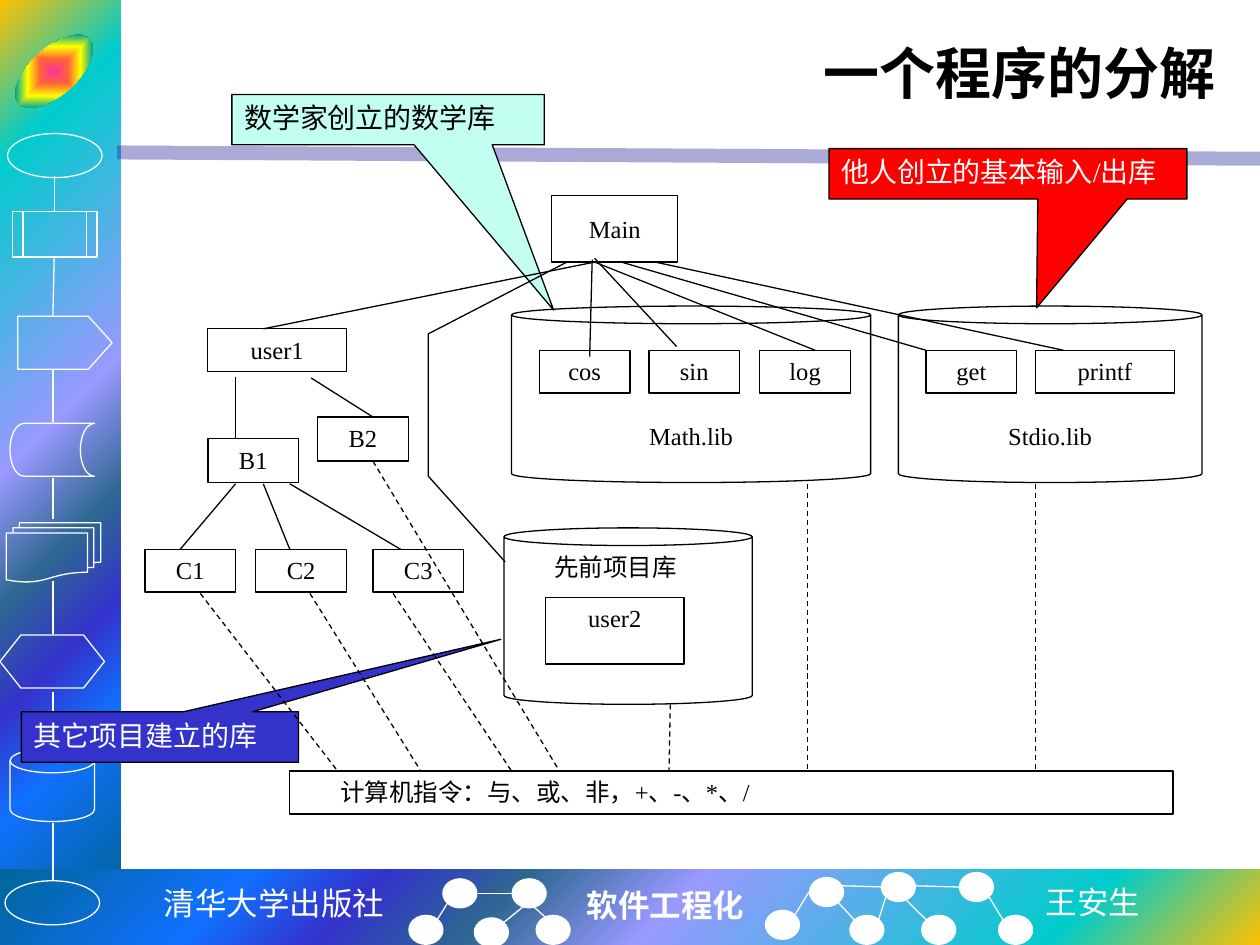
from lxml import etree
from pptx import Presentation
from pptx import util as u
from pptx.dml.color import RGBColor
from pptx.enum import dml, shapes, text
from pptx.oxml.ns import qn

KIND = shapes.MSO_SHAPE
ALIGN = text.PP_ALIGN
BLACK, WHITE = "000000", "FFFFFF"
SERIF, CJK = "Times New Roman", "Noto Sans CJK SC"
RAINBOW = [(0, "FFC000"), (16, "00CCCC"), (47, "9999FF"), (60, "2E6792"),
           (71, "3333CC"), (81, "1170FF"), (100, "006699")]
EMBLEM = [(0, "FF3399"), (25, "FF6633"), (50, "FFFF00"), (75, "01A78F"), (100, "3366FF")]


def cm(inches):
    """Turn a position on the slide's inch grid into a length."""
    return u.Cm(inches * 2.54)


def colour(value):
    return RGBColor.from_string(value)


def set_gradient(shape, stops, path, focus):
    """Fill with a path gradient that starts at focus (left, top, right, bottom in %)."""
    shape.fill.background()
    old = shape._element.spPr.find(qn("a:noFill"))
    grad = etree.Element(qn("a:gradFill"), rotWithShape="1")
    stop_list = etree.SubElement(grad, qn("a:gsLst"))
    for place, value in stops:
        stop = etree.SubElement(stop_list, qn("a:gs"), pos=str(place * 1000))
        etree.SubElement(stop, qn("a:srgbClr"), val=value)
    route = etree.SubElement(grad, qn("a:path"), path=path)
    sides = {side: str(part * 1000) for side, part in zip("ltrb", focus)}
    etree.SubElement(route, qn("a:fillToRect"), **sides)
    old.getparent().replace(old, grad)


def style_outline(shape, fill=None, line=None):
    shape.shadow.inherit = False
    if fill:
        shape.fill.solid()
        shape.fill.fore_color.rgb = colour(fill)
    else:
        shape.fill.background()
    if line:
        shape.line.color.rgb = colour(line)
        shape.line.width = u.Pt(0.75)
    else:
        shape.line.fill.background()


def add_shape(page, kind, at, fill=None, line=None, adjust=()):
    shape = page.shapes.add_shape(kind, *map(cm, at))
    style_outline(shape, fill, line)
    for index, value in enumerate(adjust):
        shape.adjustments[index] = value
    return shape


def add_line(page, start, end, ink=BLACK, width=0.75, dashed=False, opacity=None):
    line = page.shapes.add_connector(shapes.MSO_CONNECTOR.STRAIGHT, *map(cm, start + end))
    line.line.color.rgb = colour(ink)
    line.line.width = u.Pt(width)
    if dashed:
        line.line.dash_style = dml.MSO_LINE.DASH
    if opacity:
        ink_element = line._element.spPr.find(".//" + qn("a:srgbClr"))
        etree.SubElement(ink_element, qn("a:alpha"), val=str(opacity * 1000))
    etree.SubElement(line._element.spPr, qn("a:effectLst"))


def write(box, words, size=14, ink=BLACK, align=ALIGN.LEFT, anchor=text.MSO_ANCHOR.TOP,
          bold=False, font=SERIF, wrap=True, indent=0):
    frame = box.text_frame
    frame.text = words
    frame.word_wrap = wrap
    frame.vertical_anchor = anchor
    para = frame.paragraphs[0]
    para.alignment = align
    if indent:
        para._p.get_or_add_pPr().set("indent", str(cm(indent)))
    span = para.runs[0]
    span.font.size = u.Pt(size)
    span.font.bold = bold
    span.font.name = font
    span.font.color.rgb = colour(ink)
    etree.SubElement(span._r.get_or_add_rPr(), qn("a:ea"), typeface=CJK)


def add_module(page, words, at, **options):
    box = add_shape(page, KIND.RECTANGLE, at, line=BLACK)
    write(box, words, **{"align": ALIGN.CENTER, **options})


def add_library(page, words, at, drop=0.05, **options):
    """Draw a cylinder whose name sits drop inches below its lid."""
    can = add_shape(page, KIND.CAN, at, line=BLACK, adjust=[0.1])
    can.text_frame.margin_top = cm(drop)
    write(can, words, **options)


def add_callout(page, words, at, tip, fill, ink):
    box = add_shape(page, KIND.RECTANGULAR_CALLOUT, at, fill, BLACK, tip)
    write(box, words, size=16, ink=ink)


def add_label(page, words, at, **options):
    write(page.shapes.add_textbox(*map(cm, at)), words, **options)


def draw_sidebar(page):
    side = add_shape(page, KIND.RECTANGLE, (0, 0, 0.96, 7.09))
    set_gradient(side, RAINBOW, "circle", (0, 0, 100, 100))
    foot = add_shape(page, KIND.RECTANGLE, (0, 6.9, 10, 0.6))
    set_gradient(foot, RAINBOW, "circle", (100, 100, 0, 0))
    add_line(page, (0.93, 1.21), (10, 1.26), "262699", 8, opacity=39)
    emblem = add_shape(page, KIND.OVAL, (0.05, 0.38, 0.76, 0.37))
    set_gradient(emblem, EMBLEM, "shape", (50, 50, 50, 50))
    emblem.rotation = -42
    for kind, at in [
        (KIND.OVAL, (0.06, 1.06, 0.75, 0.35)),
        (KIND.FLOWCHART_PREDEFINED_PROCESS, (0.1, 1.68, 0.67, 0.36)),
        (KIND.PENTAGON, (0.14, 2.51, 0.75, 0.42)),
        (KIND.FLOWCHART_STORED_DATA, (0.08, 3.36, 0.67, 0.42)),
        (KIND.FLOWCHART_MULTIDOCUMENT, (0.05, 4.15, 0.75, 0.47)),
        (KIND.FLOWCHART_PREPARATION, (0, 5.04, 0.83, 0.42)),
        (KIND.FLOWCHART_MAGNETIC_DISK, (0.08, 5.94, 0.67, 0.58)),
        (KIND.OVAL, (0.04, 6.99, 0.75, 0.35)),
    ]:
        add_shape(page, kind, at, line=WHITE, adjust=[0.45] if kind == KIND.PENTAGON else ())
    for top, bottom in [(1.4, 1.68), (2.05, 2.51), (2.93, 3.35), (3.79, 4.12),
                        (4.61, 5.03), (5.49, 5.9), (6.53, 6.99)]:
        add_line(page, (0.43 if top < 2.5 else 0.42, top),
                 (0.43 if top < 2 else 0.42, bottom), WHITE)


def draw_footer(page):
    add_label(page, "清华大学出版社", (1.19, 6.97, 1.97, 0.4), size=18, ink=WHITE,
              font="Courier New", align=ALIGN.CENTER, wrap=False)
    add_label(page, "软件工程化", (4.56, 6.98, 1.46, 0.4), size=18, ink=WHITE,
              bold=True, wrap=False)
    add_label(page, "王安生", (8.2, 6.96, 0.96, 0.4), size=18, ink=WHITE,
              font=CJK, wrap=False)
    for left, top in [(3.51, 6.97), (4.06, 6.97), (3.24, 7.26), (3.76, 7.28), (4.25, 7.26),
                      (6.42, 6.96), (6.99, 6.92), (7.61, 6.92),
                      (6.07, 7.22), (6.74, 7.26), (7.31, 7.26), (7.92, 7.26)]:
        add_shape(page, KIND.OVAL, (left, top, 0.28, 0.24), fill=WHITE)
    for start, end in [
        ((3.47, 7.3), (3.55, 7.17)), ((4, 7.32), (4.16, 7.19)), ((4.06, 7.09), (3.79, 7.09)),
        ((4.34, 7.29), (4.24, 7.2)), ((6.78, 7.3), (6.65, 7.16)), ((7.35, 7.3), (7.15, 7.1)),
        ((7.96, 7.3), (7.85, 7.12)), ((6.97, 7.31), (7.03, 7.12)), ((7.26, 7.03), (7.61, 7.04)),
        ((6.31, 7.26), (6.42, 7.08)), ((6.68, 7.03), (7.03, 7.04)),
    ]:
        add_line(page, start, end, WHITE)


def draw_callouts(page):
    add_callout(page, "他人创立的基本输入/出库", (6.58, 1.18, 2.84, 0.4),
                (0.08, 2.66), "FF0000", WHITE)
    add_callout(page, "数学家创立的数学库", (1.84, 0.75, 2.48, 0.4),
                (0.53, 3.78), "C2FFF0", BLACK)
    add_callout(page, "其它项目建立的库", (0.17, 5.65, 2.2, 0.4),
                (1.23, -1.94), "3333CC", WHITE)


def draw_program(page):
    add_library(page, "先前项目库", (4, 4.19, 1.97, 1.4), indent=0.3)
    add_library(page, "Math.lib", (4.06, 2.43, 2.85, 1.4), drop=0.77, align=ALIGN.CENTER)
    add_library(page, "Stdio.lib", (7.13, 2.43, 2.41, 1.4), drop=0.77, align=ALIGN.CENTER)

    add_module(page, "Main", (4.38, 1.55, 1, 0.53), anchor=text.MSO_ANCHOR.MIDDLE)
    add_module(page, "user2", (4.33, 4.74, 1.1, 0.53))
    for words, left, top, width in [
        ("user1", 1.65, 2.61, 1.1), ("B1", 1.65, 3.48, 0.72), ("B2", 2.52, 3.31, 0.72),
        ("C1", 1.15, 4.36, 0.72), ("C2", 2.03, 4.36, 0.72), ("C3", 2.96, 4.36, 0.72),
        ("cos", 4.28, 2.78, 0.72), ("sin", 5.15, 2.78, 0.72), ("log", 6.03, 2.78, 0.72),
        ("get", 7.35, 2.78, 0.72), ("printf", 8.22, 2.78, 1.1),
    ]:
        add_module(page, words, (left, top, width, 0.35 if words[0] == "B" else 0.34))
    add_module(page, "计算机指令：与、或、非，+、-、*、/", (2.3, 6.12, 7.01, 0.34),
               align=ALIGN.LEFT, indent=0.3)

    for start, end in [
        ((4.72, 2.08), (2.09, 2.61)), ((4.7, 2.06), (4.68, 2.83)), ((4.72, 2.05), (5.37, 2.75)),
        ((4.72, 2.08), (6.47, 2.78)), ((4.93, 2.08), (7.35, 2.78)), ((5.2, 2.08), (8.44, 2.78)),
        ((1.87, 2.99), (1.87, 3.48)), ((2.47, 3), (2.96, 3.31)), ((1.87, 3.84), (1.43, 4.36)),
        ((2.09, 3.84), (2.3, 4.36)), ((2.3, 3.84), (3.18, 4.36)),
    ]:
        add_line(page, start, end)
    for start, foot in [((1.59, 4.71), 2.68), ((2.46, 4.71), 3.34), ((3.12, 4.71), 4.06),
                        ((2.96, 3.66), 4.44), ((5.32, 5.59), 5.31), ((6.41, 3.84), 6.41),
                        ((8.22, 3.84), 8.22)]:
        add_line(page, start, (foot, 6.12), dashed=True)

    corners = [(cm(x), cm(y)) for x, y in [(4.5, 2.08), (3.4, 2.65), (3.4, 3.78), (4.01, 4.46)]]
    builder = page.shapes.build_freeform(*corners[0])
    builder.add_line_segments(corners[1:], close=False)
    style_outline(builder.convert_to_shape(), line=BLACK)


def main():
    deck = Presentation()
    deck.slide_width, deck.slide_height = cm(10), cm(7.5)
    page = deck.slides.add_slide(deck.slide_layouts[6])
    draw_sidebar(page)
    draw_footer(page)
    add_label(page, "一个程序的分解", (1.25, 0.17, 8.5, 0.81), size=32, bold=True,
              align=ALIGN.RIGHT, anchor=text.MSO_ANCHOR.MIDDLE)
    draw_callouts(page)
    draw_program(page)
    deck.save("out.pptx")


if __name__ == "__main__":
    main()
